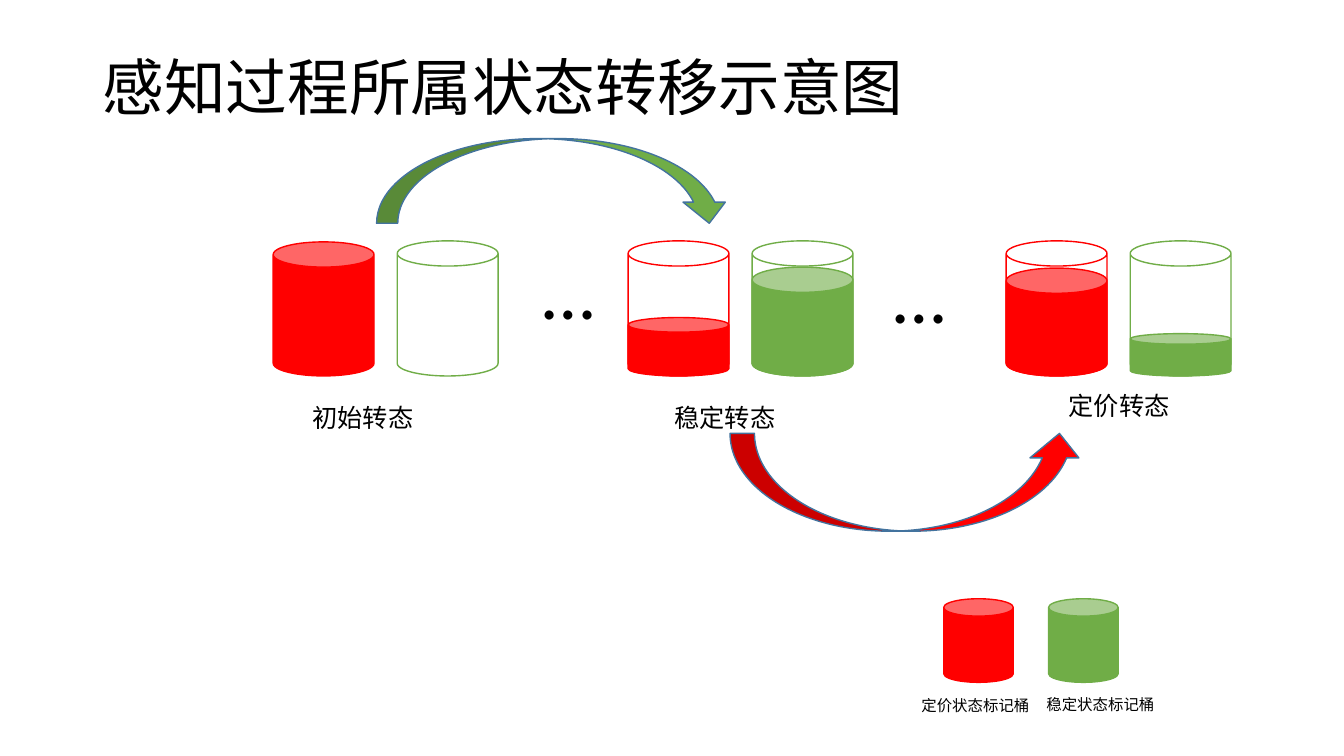
"""Draws the bucket diagram of state transfer in a perception process."""
from pptx import Presentation
from pptx.dml.color import RGBColor
from pptx.enum.shapes import MSO_SHAPE
from pptx.enum.text import MSO_ANCHOR
from pptx.util import Pt

EMU_PER_PX = 9144
WHITE = RGBColor(0xFF, 0xFF, 0xFF)
BLACK = RGBColor(0x00, 0x00, 0x00)
RED = RGBColor(0xFF, 0x00, 0x00)
GREEN = RGBColor(0x70, 0xAD, 0x47)
BLUE = RGBColor(0x43, 0x73, 0x9E)

BUCKET_WIDTH = 100
BUCKET_HEIGHT = 134
BUCKET_BOTTOM = 373
PAIR_STEP = 123
STATES = [
    (271, ((RED, 133), (GREEN, 0))),
    (623, ((RED, 58), (GREEN, 108))),
    (998, ((RED, 107), (GREEN, 42))),
]
LABELS = [
    ("初始转态", 300, 394, 162, 40, 18),
    ("稳定转态", 659, 394, 162, 40, 18),
    ("定价转态", 1050, 382, 208, 40, 18),
    ("定价状态标记桶", 904, 686, 133, 29, 11),
    ("稳定状态标记桶", 1028, 685, 162, 29, 11),
    ("…", 528, 237, 103, 101, 54),
    ("…", 876, 241, 103, 101, 54),
]


def px(length):
    """Turn px into EMU."""
    return length * EMU_PER_PX


def add_filled_shape(slide, kind, left, top, width, height, fill, line):
    """Add a preset shape with a solid fill and a thin outline."""
    shape = slide.shapes.add_shape(kind, px(left), px(top), px(width), px(height))
    shape.shadow.inherit = False
    shape.fill.solid()
    shape.fill.fore_color.rgb = fill
    shape.line.color.rgb = line
    shape.line.width = Pt(1)
    return shape


def add_bucket(slide, left, color, level):
    """Add an outlined bucket holding liquid up to a level."""
    for height, fill in ((BUCKET_HEIGHT, WHITE), (level, color)):
        if height and not (fill == WHITE and level >= BUCKET_HEIGHT - 1):
            add_filled_shape(slide, MSO_SHAPE.CAN, left, BUCKET_BOTTOM - height,
                             BUCKET_WIDTH, height, fill, color)


def add_curved_arrow(slide, left, top, width, height, color, flipped=False):
    """Add a curved arrow turned upright, mirrored when flipped."""
    arrow = add_filled_shape(slide, MSO_SHAPE.CURVED_LEFT_ARROW,
                             left, top, width, height, color, BLUE)
    arrow.rotation = 270
    if flipped:
        arrow._element.spPr.get_or_add_xfrm().set("flipH", "1")


def add_text(slide, text, left, top, width, height, size):
    """Add a one-line text box and return it."""
    box = slide.shapes.add_textbox(px(left), px(top), px(width), px(height))
    box.text_frame.word_wrap = True
    paragraph = box.text_frame.paragraphs[0]
    paragraph.text = text
    paragraph.font.name = "Calibri"
    paragraph.font.size = Pt(size)
    paragraph.font.color.rgb = BLACK
    return box


def main():
    """Build and save the slide."""
    presentation = Presentation()
    presentation.slide_width = px(1333)
    presentation.slide_height = px(750)
    slide = presentation.slides.add_slide(presentation.slide_layouts[6])

    title = add_text(slide, "感知过程所属状态转移示意图", 92, 17, 1150, 145, 44)
    title.text_frame.vertical_anchor = MSO_ANCHOR.MIDDLE
    title.text_frame.paragraphs[0].line_spacing = 0.9

    for left, buckets in STATES:
        for index, (color, level) in enumerate(buckets):
            add_bucket(slide, left + index * PAIR_STEP, color, level)
    for left, color in ((936, RED), (1040, GREEN)):
        add_filled_shape(slide, MSO_SHAPE.CAN, left, 594, 69, 83, color, color)
    for label in LABELS:
        add_text(slide, *label)

    add_curved_arrow(slide, 507, 4, 84, 351, GREEN)
    add_curved_arrow(slide, 851, 303, 97, 351, RED, flipped=True)
    presentation.save("out.pptx")


if __name__ == "__main__":
    main()
